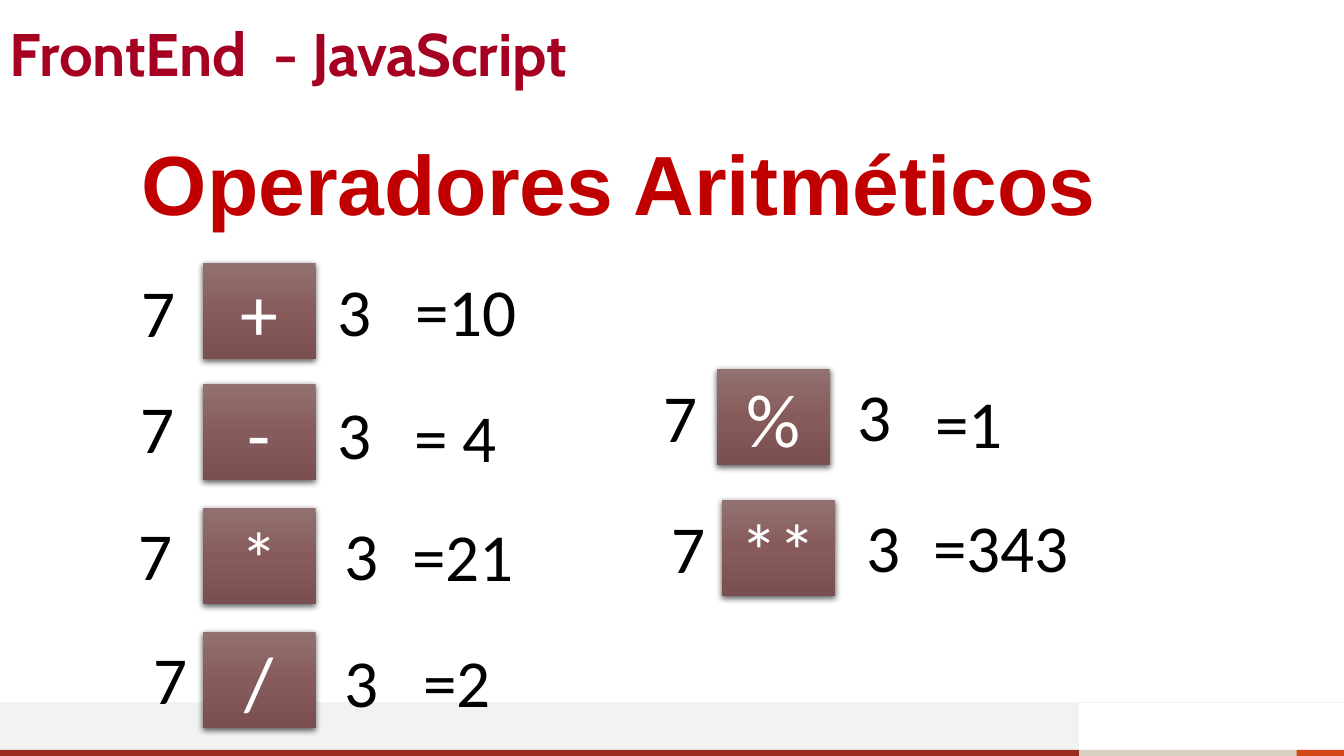
from dataclasses import dataclass
from typing import Optional

from pptx import Presentation
from pptx.dml.color import RGBColor
from pptx.enum.shapes import MSO_CONNECTOR as Connector, MSO_SHAPE as Preset
from pptx.enum.text import MSO_ANCHOR as Anchor, MSO_AUTO_SIZE as AutoSize, PP_ALIGN as Align
from pptx.oxml import parse_xml
from pptx.oxml.ns import nsdecls, qn
from pptx.util import Inches, Pt

COLOURS = {
    "header": "A50021", "title": "C00000", "text": "000000", "symbol": "FFFFFF",
    "band": "F2F2F2", "rust": "9B2D1F", "sand": "D8D0C0", "orange": "D34817",
    "key_top": "937171", "key_middle": "875B5B", "key_bottom": "7A4F4F",
}
KEY_WIDTH, KEY_HEIGHT = 1.12, 0.95
NUMBER_WIDTH, NUMBER_HEIGHT = 0.54, 0.91


@dataclass
class Bar:
    left: float
    top: float
    width: float
    height: float
    colour: str


@dataclass
class Spot:
    left: float
    top: float


@dataclass
class Operation:
    symbol: str
    result: str
    key: Spot
    first: Spot
    second: Spot
    answer: Spot
    answer_width: float


BARS = [
    Bar(10.7, 7.44, 2.17, 0.06, "sand"),
    Bar(0, 6.97, 10.7, 0.47, "band"),
    Bar(0, 7.44, 10.7, 0.06, "rust"),
    Bar(12.86, 7.44, 0.47, 0.06, "orange"),
]
OPERATIONS = [
    Operation("+", "=10", Spot(2.01, 2.61), Spot(1.31, 2.63), Spot(3.25, 2.62), Spot(4.02, 2.62), 1.22),
    Operation("-", "= 4", Spot(2.01, 3.81), Spot(1.3, 3.78), Spot(3.25, 3.84), Spot(4.01, 3.87), 1.03),
    Operation("*", "=21", Spot(2.01, 5.04), Spot(1.28, 5.04), Spot(3.32, 5.04), Spot(3.99, 5.05), 1.22),
    Operation("/", "=2", Spot(2.01, 6.27), Spot(1.42, 6.27), Spot(3.32, 6.3), Spot(4.1, 6.3), 0.88),
    Operation("%", "=1", Spot(7.11, 3.66), Spot(6.48, 3.67), Spot(8.41, 3.66), Spot(9.18, 3.73), 0.88),
    Operation("**", "=343", Spot(7.16, 4.96), Spot(6.56, 4.97), Spot(8.5, 4.96), Spot(9.16, 4.96), 1.56),
]


def rgb(name: str) -> RGBColor:
    return RGBColor.from_string(COLOURS[name])


def add_words(frame, words: str, size: float, font: str, colour: str, bold: bool = False):
    paragraph = frame.paragraphs[0]
    run = paragraph.add_run()
    run.text = words
    run.font.size = Pt(size)
    run.font.name = font
    run.font.bold = bold
    run.font.color.rgb = rgb(colour)
    return paragraph


def add_rectangle(slide, left: float, top: float, width: float, height: float):
    rectangle = slide.shapes.add_shape(
        Preset.RECTANGLE, Inches(left), Inches(top), Inches(width), Inches(height))
    rectangle.shadow.inherit = False
    rectangle.line.fill.background()
    return rectangle


def add_bar(slide, bar: Bar) -> None:
    rectangle = add_rectangle(slide, bar.left, bar.top, bar.width, bar.height)
    rectangle.fill.solid()
    rectangle.fill.fore_color.rgb = rgb(bar.colour)


def add_band_edge(slide) -> None:
    edge = slide.shapes.add_connector(
        Connector.STRAIGHT, Inches(13.33), Inches(6.97), Inches(0), Inches(6.97))
    edge.line.color.rgb = rgb("band")
    edge.line.width = Pt(0.5)
    edge._element.spPr.append(parse_xml(f"<a:effectLst {nsdecls('a')}/>"))


def add_heading(slide, place: Bar, words: str, size: float, font: str,
                spacing: float, bottom: Optional[float] = None) -> None:
    heading = slide.shapes.add_textbox(
        Inches(place.left), Inches(place.top), Inches(place.width), Inches(place.height))
    frame = heading.text_frame
    frame.word_wrap = True
    frame.vertical_anchor = Anchor.MIDDLE
    if bottom is not None:
        frame.margin_bottom = Inches(bottom)
    add_words(frame, words, size, font, place.colour, bold=True).line_spacing = spacing


def add_key(slide, symbol: str, spot: Spot) -> None:
    key = add_rectangle(slide, spot.left, spot.top, KEY_WIDTH, KEY_HEIGHT)
    stops = "".join(
        f'<a:gs pos="{position}"><a:srgbClr val="{COLOURS[name]}"/></a:gs>'
        for position, name in ((0, "key_top"), (50000, "key_middle"), (100000, "key_bottom")))
    properties = key._element.spPr
    properties.find(qn("a:prstGeom")).addnext(parse_xml(
        f"<a:gradFill {nsdecls('a')} rotWithShape=\"1\"><a:gsLst>{stops}</a:gsLst>"
        '<a:lin ang="5400000" scaled="0"/></a:gradFill>'))
    properties.find(qn("a:effectLst")).append(parse_xml(
        f"<a:outerShdw {nsdecls('a')} blurRad=\"{Pt(4.5)}\" dist=\"{Pt(1.5)}\" "
        'dir="5400000" algn="ctr" rotWithShape="0">'
        '<a:srgbClr val="000000"><a:alpha val="63000"/></a:srgbClr></a:outerShdw>'))
    frame = key.text_frame
    frame.word_wrap = True
    frame.vertical_anchor = Anchor.MIDDLE
    add_words(frame, symbol, 54, "Calibri", "symbol").alignment = Align.CENTER


def add_number(slide, words: str, spot: Spot, width: float = NUMBER_WIDTH) -> None:
    number = slide.shapes.add_textbox(
        Inches(spot.left), Inches(spot.top), Inches(width), Inches(NUMBER_HEIGHT))
    frame = number.text_frame
    frame.word_wrap = False
    frame.auto_size = AutoSize.SHAPE_TO_FIT_TEXT
    add_words(frame, words, 48, "Calibri", "text")


def add_operation(slide, operation: Operation) -> None:
    add_key(slide, operation.symbol, operation.key)
    add_number(slide, "7", operation.first)
    add_number(slide, "3", operation.second)
    add_number(slide, operation.result, operation.answer, operation.answer_width)


def main() -> None:
    deck = Presentation()
    deck.slide_width, deck.slide_height = Inches(13.33), Inches(7.5)
    slide = deck.slides.add_slide(deck.slide_layouts[6])
    for bar in BARS:
        add_bar(slide, bar)
    add_band_edge(slide)
    add_heading(slide, Bar(0, 0.22, 11.5, 0.74, "header"),
                "FrontEnd  - JavaScript", 42.9, "Cabin", 0.8)
    add_heading(slide, Bar(1.31, 0.37, 11.12, 3.52, "title"),
                "Operadores Aritméticos", 60, "Arial", 0.9, bottom=0.57)
    for operation in OPERATIONS:
        add_operation(slide, operation)
    deck.save("out.pptx")


if __name__ == "__main__":
    main()
